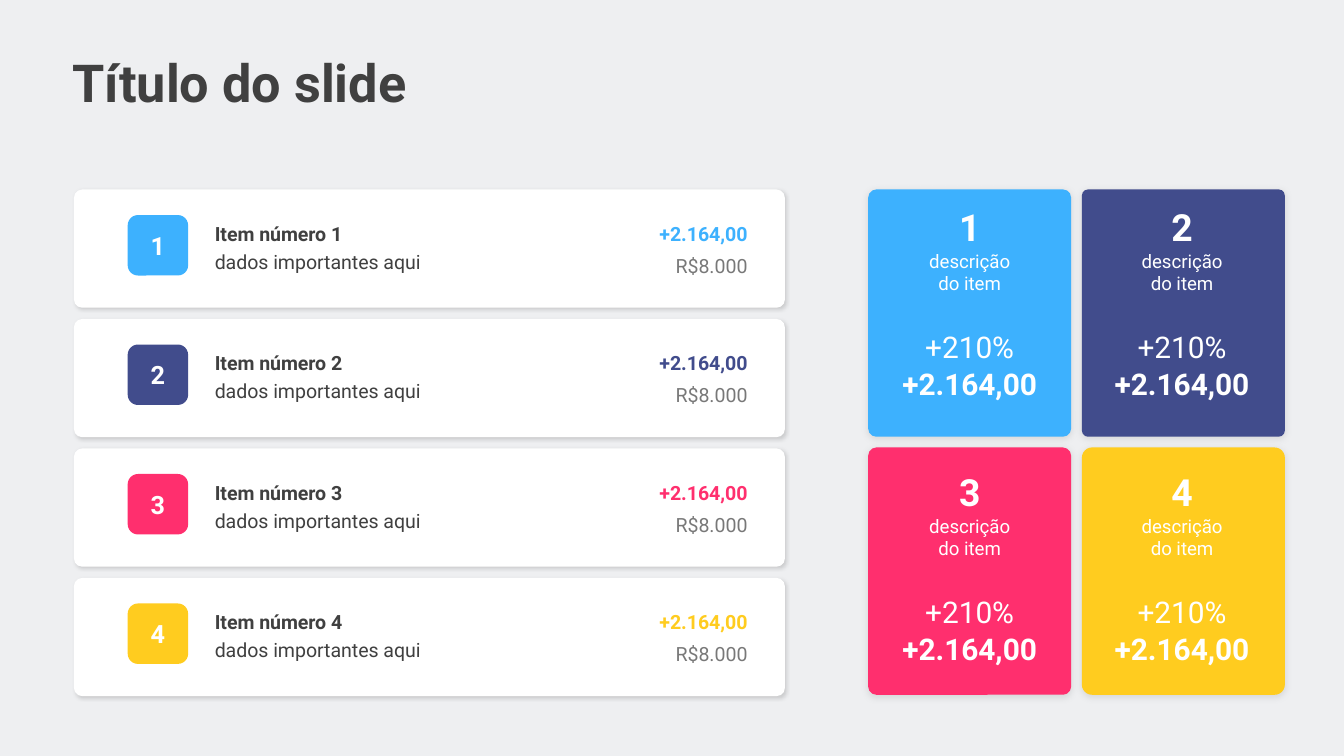
from lxml import etree
from pptx import Presentation
from pptx.dml.color import RGBColor
from pptx.enum.shapes import MSO_SHAPE
from pptx.enum.text import MSO_ANCHOR, MSO_AUTO_SIZE, PP_ALIGN
from pptx.oxml.ns import qn
from pptx.util import Inches, Pt

ROUNDED = MSO_SHAPE.ROUNDED_RECTANGLE
TOP, MIDDLE = MSO_ANCHOR.TOP, MSO_ANCHOR.MIDDLE
LEFT, CENTER, RIGHT = PP_ALIGN.LEFT, PP_ALIGN.CENTER, PP_ALIGN.RIGHT
GROW, FIXED = MSO_AUTO_SIZE.SHAPE_TO_FIT_TEXT, MSO_AUTO_SIZE.NONE

COLORS = ["3DB1FE", "414C8C", "FF2F6E", "FFCC1F"]
DARK, WHITE, BACKGROUND = "404040", "FFFFFF", "EEEFF1"
CARD_SHADOW = {"alpha": 15, "blur": 2, "distance": 1, "angle": 45}
TILE_SHADOW = {"alpha": 10, "blur": 4, "distance": 1, "angle": 90}

deck = Presentation()
deck.slide_width = Inches(10)
deck.slide_height = Inches(10 * 9 / 16)
page = deck.slides.add_slide(deck.slide_layouts[5])
page.background.fill.solid()
page.background.fill.fore_color.rgb = RGBColor.from_string(BACKGROUND)


def add_block(left, top, width, height, color, rounding, shadow=None):
    """Add a rounded rectangle without outline, with an optional outer shadow."""
    block = page.shapes.add_shape(
        ROUNDED, Inches(left), Inches(top), Inches(width), Inches(height))
    block.adjustments[0] = rounding
    block.fill.solid()
    block.fill.fore_color.rgb = RGBColor.from_string(color)
    block.line.fill.background()
    block.shadow.inherit = False
    if shadow:
        effects = block._element.spPr.find(qn("a:effectLst"))
        outer = etree.SubElement(
            effects, qn("a:outerShdw"), blurRad=str(Pt(shadow["blur"])),
            dist=str(Pt(shadow["distance"])), dir=str(shadow["angle"] * 60000),
            algn="ctr", rotWithShape="0")
        shade = etree.SubElement(outer, qn("a:srgbClr"), val="000000")
        etree.SubElement(shade, qn("a:alpha"), val=str(shadow["alpha"] * 1000))
    return block


def write(box, lines, size, color, bold=False, align=LEFT, anchor=TOP,
          fit=GROW, opacity=100):
    """Fill a box with one paragraph per line, all in the same format."""
    frame = box.text_frame
    frame.word_wrap = True
    frame.auto_size = fit
    frame.vertical_anchor = anchor
    for index, line in enumerate(lines):
        para = frame.add_paragraph() if index else frame.paragraphs[0]
        para.alignment = align
        span = para.add_run()
        span.text = line
        font_format = {"name": "Roboto", "size": Pt(size), "bold": bold}
        for name, value in font_format.items():
            setattr(span.font, name, value)
        span.font.color.rgb = RGBColor.from_string(color)
        if opacity < 100:
            tint = span._r.rPr.find(".//" + qn("a:srgbClr"))
            etree.SubElement(tint, qn("a:alpha"), val=str(opacity * 1000))


title = page.shapes.title
title.left, title.top = Inches(0.44), Inches(0.32)
title.width, title.height = Inches(4.42), Inches(0.57)
write(title, ["Título do slide"], 28, DARK, bold=True)

# List of items: one white card per row
FIRST_ROW, LAST_ROW = 1.41, 4.3
row_step = (LAST_ROW - FIRST_ROW) / (len(COLORS) - 1)
for index, color in enumerate(COLORS):
    number = index + 1
    top = FIRST_ROW + index * row_step
    add_block(0.55, top, 5.29, 0.88, WHITE, 0.07, CARD_SHADOW)
    badge = add_block(0.95, top + 0.19, 0.45, 0.45, color, 0.17)
    write(badge, [str(number)], 13.5, WHITE, bold=True, align=CENTER,
          anchor=MIDDLE, fit=FIXED)
    row_texts = [
        (1.5, 0.19, 1.52, f"Item número {number}", DARK, True, LEFT, 100),
        (1.5, 0.4, 2.23, "dados importantes aqui", DARK, False, LEFT, 100),
        (4.14, 0.19, 1.52, "+2.164,00", color, True, RIGHT, 100),
        (4.14, 0.43, 1.52, "R$8.000", DARK, False, RIGHT, 70),
    ]
    for left, offset, width, text, ink, bold, align, opacity in row_texts:
        box = page.shapes.add_textbox(
            Inches(left), Inches(top + offset), Inches(width), Inches(0.28))
        write(box, [text], 10.5, ink, bold, align, opacity=opacity)

# Two by two grid of coloured tiles
TILE_WIDTH, TILE_HEIGHT = 1.51, 1.84
TILE_ROUNDING = [0.04, 0.03, 0.04, 0.05]
for index, color in enumerate(COLORS):
    row, column = divmod(index, 2)
    add_block(6.46 + column * 1.59, 1.41 + row * 1.92, TILE_WIDTH, TILE_HEIGHT,
              color, TILE_ROUNDING[index], TILE_SHADOW)
    tile_texts = [
        (1.47, 0.42, 0.44, [str(index + 1)], 20, True),
        (1.81, TILE_WIDTH, 0.44, ["descrição", "do item"], 10, False),
        (2.4, TILE_WIDTH, 0.37, ["+210%"], 16, False),
        (2.67, TILE_WIDTH, 0.37, ["+2.164,00"], 16, True),
    ]
    for top, width, height, lines, size, bold in tile_texts:
        left = 6.46 + column * 1.58 + (TILE_WIDTH - width) / 2
        box = page.shapes.add_textbox(
            Inches(left), Inches(top + row * 1.97), Inches(width), Inches(height))
        write(box, lines, size, WHITE, bold, CENTER)

deck.save("out.pptx")
